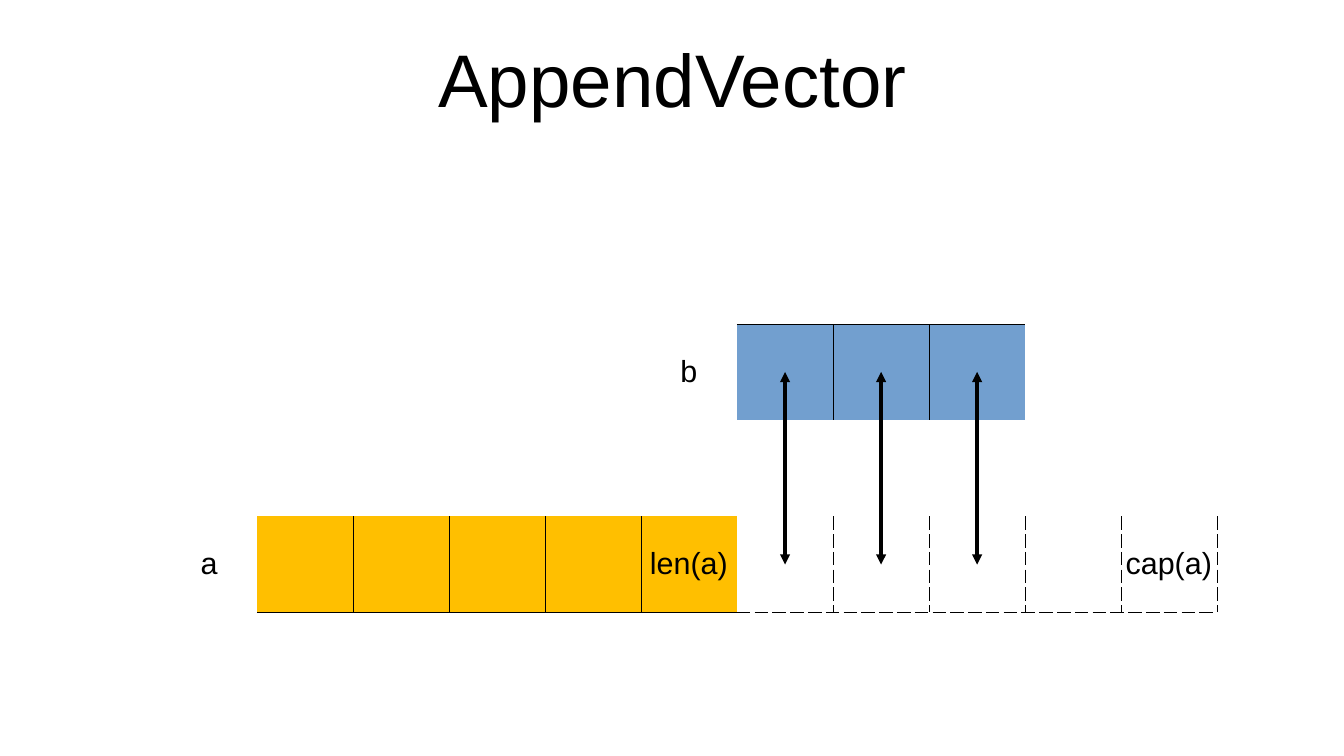
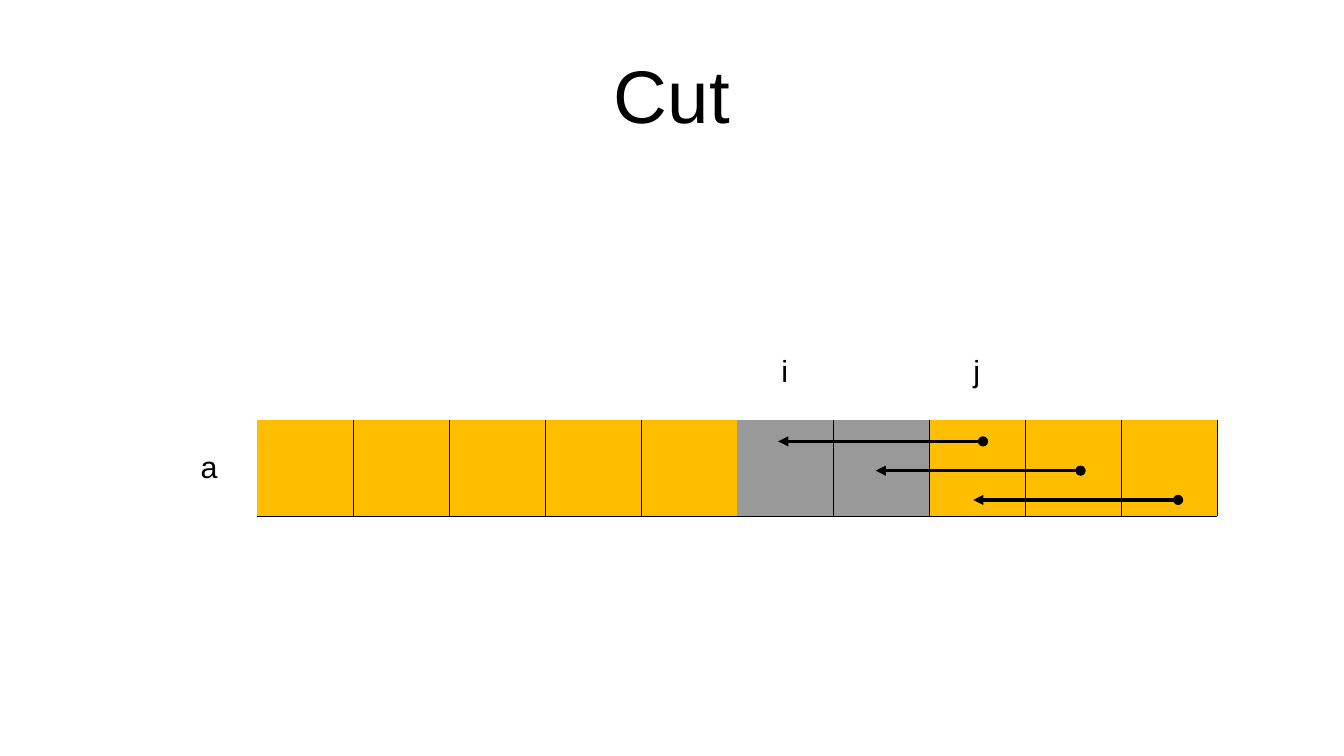
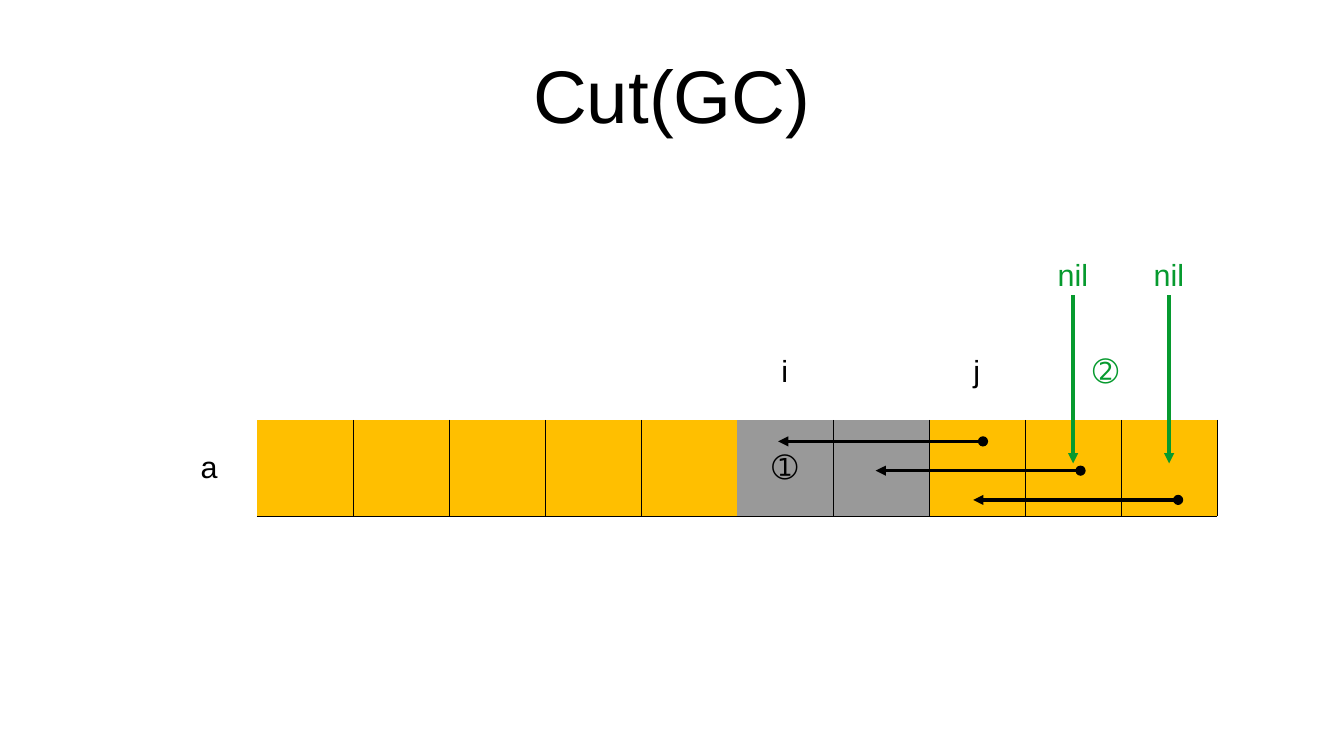
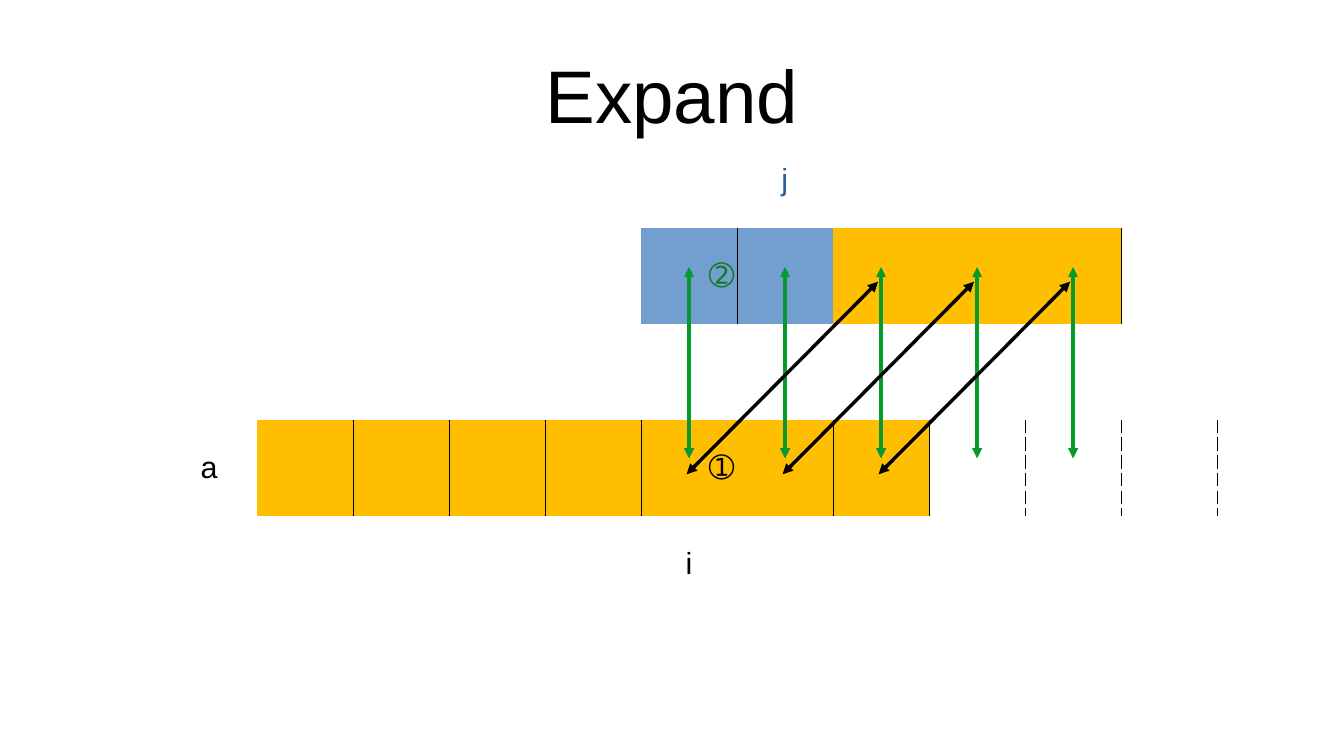
"""Build four slides that illustrate slice operations as rows of cells."""
from lxml import etree
from pptx import Presentation
from pptx.dml.color import RGBColor
from pptx.enum.shapes import MSO_CONNECTOR
from pptx.enum.text import MSO_ANCHOR, PP_ALIGN
from pptx.oxml.ns import qn
from pptx.util import Inches, Pt

STRAIGHT = MSO_CONNECTOR.STRAIGHT
MIDDLE = MSO_ANCHOR.MIDDLE
CENTER = PP_ALIGN.CENTER
RIGHT = PP_ALIGN.RIGHT

COLORS = {
    "black": "000000",
    "yellow": "FFBF00",
    "blue": "729FCF",
    "gray": "999999",
    "green": "069A2E",
    "dark green": "127622",
    "dark blue": "2A6099",
}
FONT = "Arial"
NO_GRID_STYLE = "{2D5ABB26-0587-4C30-8999-92F81FD0307C}"
HAIRLINE = 762
COLUMNS = 11
TABLE_LEFT = 1.32
TABLE_WIDTH = 8.66
CELL = TABLE_WIDTH / COLUMNS
CENTERS = [TABLE_LEFT + CELL * (column + 0.5) for column in range(COLUMNS)]
TITLE_BOX = (0.55, 0.25, 9.92, 1.04)


def style_paragraph(paragraph, text, size, color, alignment):
    paragraph.text = text
    paragraph.alignment = alignment
    paragraph.font.name = FONT
    paragraph.font.size = Pt(size)
    paragraph.font.color.rgb = RGBColor.from_string(COLORS[color])


def add_arrow(slide, start, end, color, head, tail):
    points = [Inches(value) for value in (*start, *end)]
    connector = slide.shapes.add_connector(STRAIGHT, *points)
    connector.line.color.rgb = RGBColor.from_string(COLORS[color])
    connector.line.width = Pt(0)
    line = connector.line._get_or_add_ln()
    for tag, kind in (("a:headEnd", head), ("a:tailEnd", tail)):
        etree.SubElement(line, qn(tag), type=kind)
    etree.SubElement(connector._element.spPr, qn("a:effectLst"))


# Cell groups: row, columns, fill, visible edges (R, T, B), dash.
# Labels: row, column, text, color, alignment.
# Arrows: start, end, color, head, tail.
def_cut_cells = [
    (-1, range(1, 5), "yellow", "RB", "solid"),
    (-1, [5], "yellow", "B", "solid"),
    (-1, [6, 7], "gray", "RB", "solid"),
    (-1, range(8, 11), "yellow", "RB", "solid"),
]
cut_labels = [
    (-2, 6, "i", "black", CENTER),
    (-2, 8, "j", "black", CENTER),
    (-1, 0, "a", "black", CENTER),
]
cut_arrows = [
    ((8.06 + 0.8 * step, 3.62 + 0.24 * step),
     (6.38 + 0.8 * step, 3.62 + 0.24 * step), "black", "oval", "triangle")
    for step in range(3)
]

slides = [
    {
        "title": "AppendVector",
        "title_box": (2.6, 0.24, 5.83, 0.79),
        "top": 2.66,
        "rows": 3,
        "cells": [
            (0, [6, 7], "blue", "RT", "solid"),
            (0, [8], "blue", "T", "solid"),
            (2, range(1, 5), "yellow", "RB", "solid"),
            (2, [5], "yellow", "B", "solid"),
            (2, range(6, 11), None, "RB", "dash"),
        ],
        "labels": [
            (0, 5, "b", "black", CENTER),
            (2, 0, "a", "black", CENTER),
            (2, 5, "len(a)", "black", CENTER),
            (2, 10, "cap(a)", "black", CENTER),
        ],
        "arrows": [
            ((x, 3.05), (x, 4.63), "black", "triangle", "triangle")
            for x in CENTERS[6:9]
        ],
    },
    {
        "title": "Cut",
        "title_box": TITLE_BOX,
        "top": 2.66,
        "rows": 2,
        "cells": def_cut_cells,
        "labels": cut_labels,
        "arrows": cut_arrows,
    },
    {
        "title": "Cut(GC)",
        "title_box": TITLE_BOX,
        "top": 1.87,
        "rows": 3,
        "cells": def_cut_cells,
        "labels": cut_labels + [
            (0, 9, "nil", "green", CENTER),
            (0, 10, "nil", "green", CENTER),
            (1, 9, "➁", "green", RIGHT),
            (2, 6, "➀", "black", CENTER),
        ],
        "arrows": cut_arrows + [
            ((x, 2.42), (x, 3.8), "green", "none", "triangle")
            for x in CENTERS[9:11]
        ],
    },
    {
        "title": "Expand",
        "title_box": TITLE_BOX,
        "top": 1.08,
        "rows": 5,
        "cells": [
            (1, [5], "blue", "R", "solid"),
            (1, [6], "blue", "", "solid"),
            (1, [7, 8], "yellow", "", "solid"),
            (1, [9], "yellow", "R", "solid"),
            (3, [1, 2, 3, 4, 6, 7], "yellow", "R", "solid"),
            (3, [5], "yellow", "", "solid"),
            (3, range(8, 11), None, "R", "dash"),
        ],
        "labels": [
            (0, 6, "j", "dark blue", CENTER),
            (1, 5, "➁", "dark green", RIGHT),
            (3, 0, "a", "black", CENTER),
            (3, 5, "➀", "black", RIGHT),
            (4, 5, "i", "black", CENTER),
        ],
        "arrows": [
            ((x, 2.19), (x, 3.76), "green", "triangle", "triangle")
            for x in CENTERS[5:10]
        ] + [
            ((x - 0.02, 3.89), (x + 1.55, 2.31), "black", "triangle", "triangle")
            for x in CENTERS[5:8]
        ],
    },
]

presentation = Presentation()
presentation.slide_width = Inches(11.02)
presentation.slide_height = Inches(6.2)

for content in slides:
    slide = presentation.slides.add_slide(presentation.slide_layouts[6])
    row_count = content["rows"]

    frame = slide.shapes.add_table(
        row_count, COLUMNS, Inches(TABLE_LEFT), Inches(content["top"]),
        Inches(TABLE_WIDTH), Inches(CELL * row_count))
    table = frame.table
    table.first_row = False
    table.horz_banding = False
    table._tbl.tblPr.find(qn("a:tableStyleId")).text = NO_GRID_STYLE
    for column in table.columns:
        column.width = Inches(CELL)
    for row in table.rows:
        row.height = Inches(CELL)
    for cell in table.iter_cells():
        cell.margin_left = cell.margin_right = Inches(0.02)
        cell.margin_top = cell.margin_bottom = Inches(0.05)
        cell.vertical_anchor = MIDDLE
        cell.fill.background()

    for row, columns, fill, edges, dash in content["cells"]:
        for column in columns:
            cell = table.cell(row % row_count, column)
            properties = cell._tc.get_or_add_tcPr()
            for position, edge in enumerate(edges):
                border = etree.Element(qn("a:ln" + edge), w=str(HAIRLINE))
                solid = etree.SubElement(border, qn("a:solidFill"))
                etree.SubElement(solid, qn("a:srgbClr"), val=COLORS["black"])
                etree.SubElement(border, qn("a:prstDash"), val=dash)
                properties.insert(position, border)
            if fill:
                cell.fill.solid()
                cell.fill.fore_color.rgb = RGBColor.from_string(COLORS[fill])

    for row, column, text, color, alignment in content["labels"]:
        cell = table.cell(row % row_count, column)
        style_paragraph(cell.text_frame.paragraphs[0], text, 18, color, alignment)

    for arrow in content["arrows"]:
        add_arrow(slide, *arrow)

    title = slide.shapes.add_textbox(*[Inches(value) for value in content["title_box"]])
    text_frame = title.text_frame
    text_frame.word_wrap = True
    text_frame.vertical_anchor = MIDDLE
    text_frame.margin_left = text_frame.margin_right = 0
    text_frame.margin_top = text_frame.margin_bottom = 0
    style_paragraph(text_frame.paragraphs[0], content["title"], 44, "black", CENTER)

presentation.save("out.pptx")
